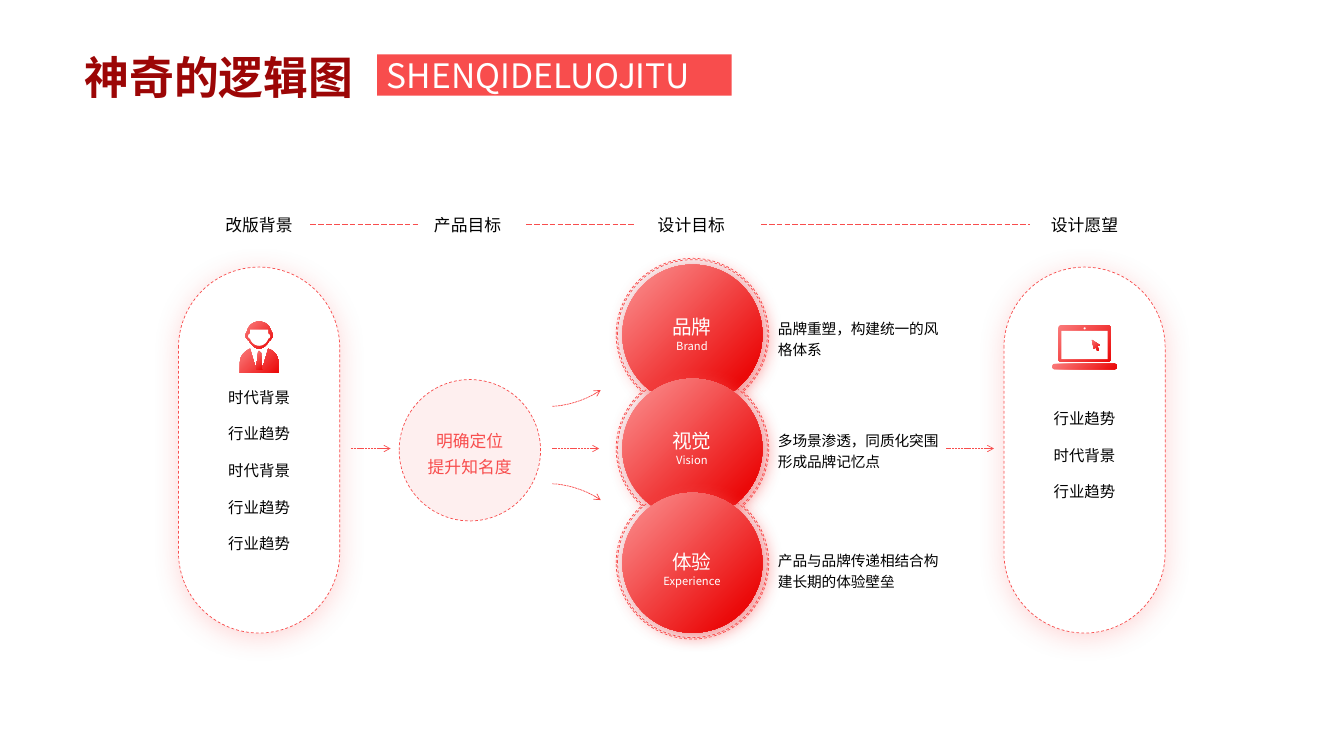
"""Build a one-slide logic map that leads from background to design wish."""
from lxml import etree
from pptx import Presentation
from pptx.dml.color import RGBColor
from pptx.enum.dml import MSO_LINE
from pptx.enum.shapes import MSO_CONNECTOR, MSO_SHAPE
from pptx.enum.text import MSO_ANCHOR, PP_ALIGN
from pptx.oxml.ns import qn
from pptx.util import Pt

OVAL, RECT, ROUND = MSO_SHAPE.OVAL, MSO_SHAPE.RECTANGLE, MSO_SHAPE.ROUNDED_RECTANGLE
DASH, LONG, DOT = MSO_LINE.DASH, MSO_LINE.LONG_DASH, MSO_LINE.SQUARE_DOT
LEFT, MID, FULL = PP_ALIGN.LEFT, PP_ALIGN.CENTER, PP_ALIGN.JUSTIFY
TOP, CENTER = MSO_ANCHOR.TOP, MSO_ANCHOR.MIDDLE
STRAIGHT = MSO_CONNECTOR.STRAIGHT
JP, SC = "Noto Sans CJK JP", "Noto Sans CJK SC"

RED = RGBColor(0xF8, 0x4D, 0x4D)
DARK = RGBColor(0x9C, 0x06, 0x06)
DEEP = RGBColor(0xEB, 0x09, 0x09)
ROSE = RGBColor(0xFB, 0x94, 0x94)
CORAL = RGBColor(0xFA, 0x7B, 0x7B)
BLUSH = RGBColor(0xFE, 0xDB, 0xDB)
PALE = RGBColor(0xF6, 0xF7, 0xF9)
WHITE = RGBColor(0xFF, 0xFF, 0xFF)
BLACK = RGBColor(0, 0, 0)

TITLE, PINYIN = "神奇的逻辑图", "SHENQIDELUOJITU"
HEADS = [("改版背景", 185), ("产品目标", 334), ("设计目标", 493.8), ("设计愿望", 774.7)]
RULES = [(221.8, 299.5), (375.8, 453.6), (543.6, 735.8)]
PILLS = [
    (127.5, 273.6, ["时代背景", "行业趋势", "时代背景", "行业趋势", "行业趋势"]),
    (717.1, 288.7, ["行业趋势", "时代背景", "行业趋势"]),
]
AIMS = ["明确定位", "提升知名度"]
GOALS = [
    ("品牌", "Brand", 221, ["品牌重塑，构建统一的风", "格体系"], 222.5),
    ("视觉", "Vision", 302.4, ["多场景渗透，同质化突围形成品牌记忆点"], 302.4),
    ("体验", "Experience", 388.8, ["产品与品牌传递相结合构建长期的体验壁垒"], 388),
]
ARROWS = [(250.6, 279), (394.6, 428), (676, 710)]
BENDS = [(290.2, -1), (345.6, 1)]
GOAL_X, GOAL_Y, GOAL_GAP = 494.6, 239, 81.5

HEAD = [(13.7, 19.4), (10.8, 19.4, 7.9, 16.6, 6.5, 13.7), (5.8, 13.7, 5, 12.2, 4.3, 11.5),
        (3.6, 10.1, 4.3, 7.9, 5, 7.2), (5.8, 2.9, 9.4, 0, 13.7, 0),
        (18, 0, 21.6, 2.9, 22.4, 7.2), (23.1, 7.9, 23.8, 10.1, 23.1, 11.5),
        (22.4, 12.2, 21.6, 13.7, 20.9, 13.7), (19.5, 16.6, 16.6, 19.4, 13.7, 19.4)]
FACE = [(7.2, 5.8), (20.2, 5.8), (20.2, 8.6), (22.3, 9.4, 21.6, 12.2, 20.2, 12.2),
        (19.4, 15.1, 16.6, 17.3, 13.7, 17.3), (10.8, 17.3, 8, 15.1, 7.2, 12.2),
        (5.8, 12.2, 5, 9.4, 7.2, 8.6)]
BODY = [(0, 36.7), (0, 28.8), (0, 24.5, 3.6, 20.9, 7.2, 19.4), (10.8, 31.7), (16.6, 31.7),
        (20.2, 19.4), (24.5, 20.9, 27.4, 24.5, 27.4, 28.8), (27.4, 36.7)]
TIE = [(13.7, 20.9), (15.1, 22.3), (15.8, 34.6), (11.5, 34.6), (12.9, 22.3)]
HAND = [(0, 0), (5.7, 3.9), (3.9, 4.6), (5.2, 7.4), (4, 7.9), (2.5, 5), (1.6, 6.7)]
SHINE = ((CORAL, 0), (DEEP, 1))


def paint(fill, tint, angle=315):
    """Fill with one colour or with a pair of gradient stops."""
    if isinstance(tint, RGBColor):
        fill.solid()
        fill.fore_color.rgb = tint
        return
    fill.gradient()
    fill.gradient_angle = angle
    for stop, (color, place) in zip(fill.gradient_stops, tint):
        stop.color.rgb, stop.position = color, place


def rule(line, dash):
    """Give a line the thin red dashed look."""
    line.color.rgb, line.width, line.dash_style = RED, Pt(0.5), dash


def dress(shape, tint, dash=None):
    """Set fill and line of a shape and drop its shadow."""
    shape.shadow.inherit = False
    if tint:
        paint(shape.fill, tint)
    else:
        shape.fill.background()
    if dash:
        rule(shape.line, dash)
    else:
        shape.line.fill.background()
    return shape


def block(home, kind, x, y, w, h, tint, dash=None):
    """Add a preset shape."""
    return dress(home.add_shape(kind, Pt(x), Pt(y), Pt(w), Pt(h)), tint, dash)


def disc(x, y, size, tint, dash=None):
    """Add a circle around a centre."""
    return block(shapes, OVAL, x - size / 2, y - size / 2, size, size, tint, dash)


def trace(home, x, y, steps, tint, dash=None):
    """Add an outline of line steps (2 numbers) and curve steps (6 numbers)."""
    dots = [steps[0]]
    for step in steps[1:]:
        if len(step) == 2:
            dots.append(step)
            continue
        ends = [dots[-1], step[:2], step[2:4], step[4:]]
        for t in (n / 8 for n in range(1, 9)):
            mix = ((1 - t) ** 3, 3 * t * (1 - t) ** 2, 3 * t * t * (1 - t), t ** 3)
            dots.append(tuple(sum(m * e[i] for m, e in zip(mix, ends)) for i in (0, 1)))
    spots = [(Pt(x + a), Pt(y + b)) for a, b in dots]
    pen = home.build_freeform(*spots[0])
    pen.add_line_segments(spots[1:], close=tint is not None)
    return dress(pen.convert_to_shape(), tint, dash)


def glow(shape, alpha, blur, angle):
    """Add a soft red shadow."""
    effect = shape.element.spPr.find(qn("a:effectLst"))
    cast = etree.SubElement(effect, qn("a:outerShdw"), blurRad=str(Pt(blur)), dist=str(Pt(3)),
                            dir=str(angle * 60000), algn="ctr", rotWithShape="0")
    color = etree.SubElement(cast, qn("a:srgbClr"), val=str(RED))
    etree.SubElement(color, qn("a:alpha"), val=str(alpha * 1000))


def point(shape):
    """Put an open arrowhead at the end of a line."""
    line = shape.line._get_or_add_ln()
    etree.SubElement(line, qn("a:tailEnd"), type="arrow", w="sm", len="sm")


def link(x, end, y, dash):
    """Add a level line."""
    line = shapes.add_connector(STRAIGHT, Pt(x), Pt(y), Pt(end), Pt(y))
    rule(line.line, dash)
    etree.SubElement(line.element.spPr, qn("a:effectLst"))
    return line


def write(lines, x, y, w, h, size, tint=BLACK, font=JP, align=MID, anchor=TOP,
          wrap=False, space=None, bold=False):
    """Add a text box with one paragraph per line."""
    frame = shapes.add_textbox(Pt(x), Pt(y), Pt(w), Pt(h)).text_frame
    frame.word_wrap, frame.vertical_anchor = wrap, anchor
    frame.text = "\n".join(lines)
    for para in frame.paragraphs:
        para.alignment, para.line_spacing = align, space
        for run in para.runs:
            face = run.font
            face.name, face.size, face.bold = font, Pt(size), bold
            paint(face.fill, tint, 135)
            etree.SubElement(run._r.get_or_add_rPr(), qn("a:ea"), typeface=font)


deck = Presentation()
deck.slide_width, deck.slide_height = Pt(960), Pt(540)
shapes = deck.slides.add_slide(deck.slide_layouts[6]).shapes

write([TITLE], 53.3, 31.7, 250, 46, 32, ((DARK, 0), (RED, 1)), SC, LEFT, wrap=True, bold=True)
block(shapes, RECT, 269.3, 38.9, 253.4, 29.5, RED)
write([PINYIN], 269.3, 35.3, 253.4, 36, 24, WHITE, align=FULL, anchor=CENTER, wrap=True)

for text, x in HEADS:
    write([text], x - 31.7, 149.8, 63.4, 21.6, 12)
for x, end in RULES:
    link(x, end, 160.6, LONG)

for x, y, items in PILLS:
    pill = block(shapes, ROUND, x, 190.8, 115.2, 261.4, WHITE, DASH)
    pill.adjustments[0] = 0.5
    glow(pill, 22, 19, 90)
    for n, item in enumerate(items):
        write([item], x + 28.1, y + n * 26.1, 59, 20.9, 11)

aim = disc(335.6, 321.6, 101, BLUSH, DASH)
shade = aim.element.spPr.find(qn("a:solidFill"))[0]
etree.SubElement(shade, qn("a:alpha"), val="43000")
write(AIMS, 298.1, 300.2, 74.9, 43.2, 12, RED, SC, anchor=CENTER, space=1.3)

rows = [GOAL_Y + n * GOAL_GAP for n in range(len(GOALS))]
for size, tint in ((109, WHITE), (107, PALE)):
    for y in rows:
        disc(GOAL_X, y, size, tint, DASH)
for y in rows:
    glow(disc(GOAL_X, y, 100, ((ROSE, 0), (DEEP, 0.84))), 70, 13, 45)
for name, word, y, note, low in GOALS:
    write([name], GOAL_X - 21.6, y, 42.5, 24.5, 14, WHITE, SC, anchor=CENTER)
    write([word], GOAL_X - 28, y + 18, 55.4, 17.3, 8, WHITE)
    write(note, 548.6, low, 131, 36.7, 10.5, align=LEFT, wrap=True, space=1.2)

for x, end in ARROWS:
    point(link(x, end, 320.4, DOT))
for y, way in BENDS:
    bend = [(0, 0), (6.4, 0, 22.3, way * 2.9, 34.5, way * 11.6)]
    point(trace(shapes, 394.6, y, bend, None, DOT))

person = shapes.add_group_shape().shapes
for steps, tint in ((HEAD, SHINE), (FACE, WHITE), (BODY, SHINE), (TIE, SHINE)):
    trace(person, 171.4, 229.7, steps, tint)

laptop = shapes.add_group_shape().shapes
block(laptop, ROUND, 756, 232.3, 37.4, 26.2, SHINE).adjustments[0] = 0.08
block(laptop, RECT, 758.2, 236.4, 33, 20.2, WHITE)
block(laptop, OVAL, 774, 233.8, 1.5, 1.5, WHITE)
block(laptop, ROUND, 751.7, 259.9, 46, 3.8, SHINE).adjustments[0] = 0.4
trace(laptop, 779.8, 242.6, HAND, SHINE)

deck.save("out.pptx")
